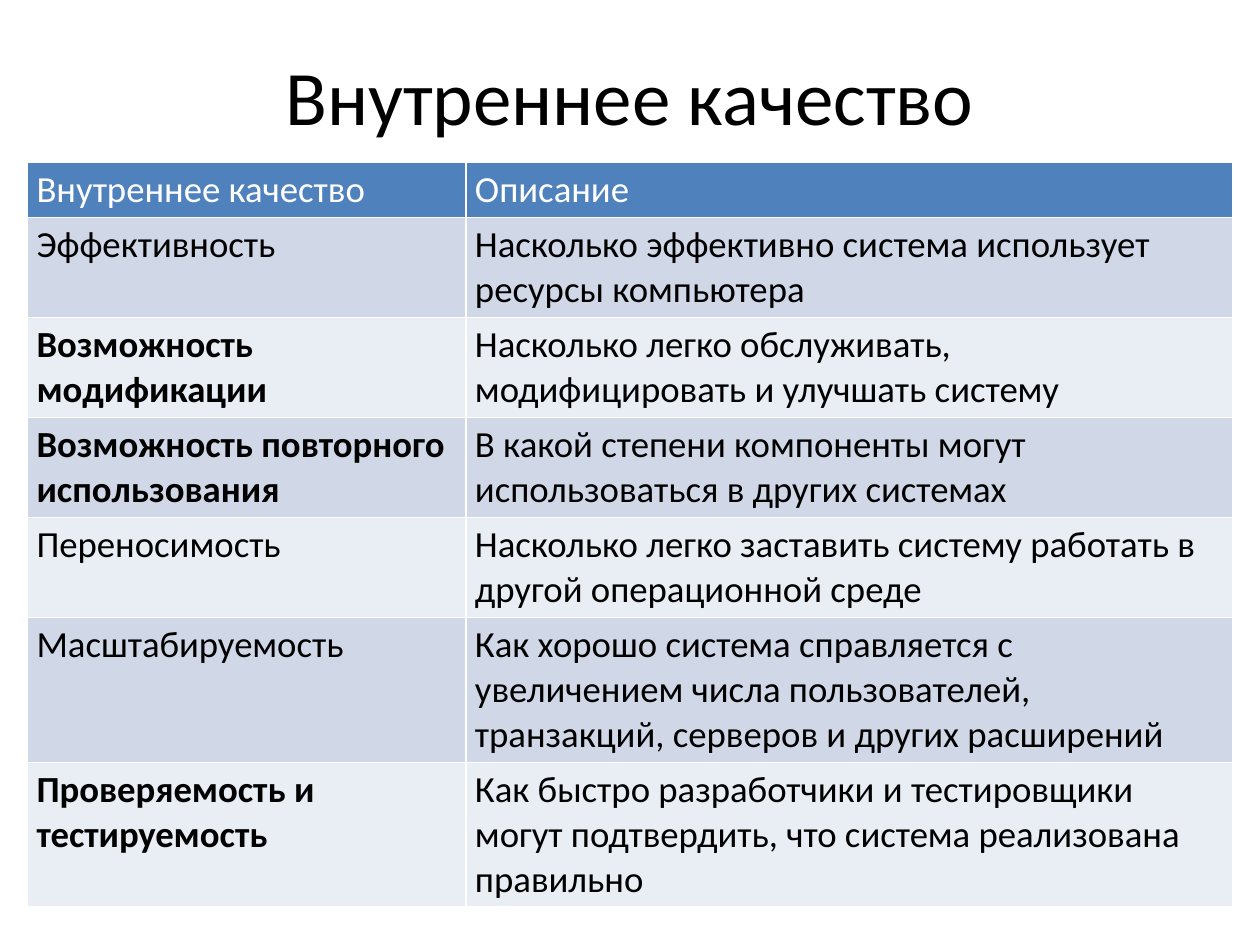
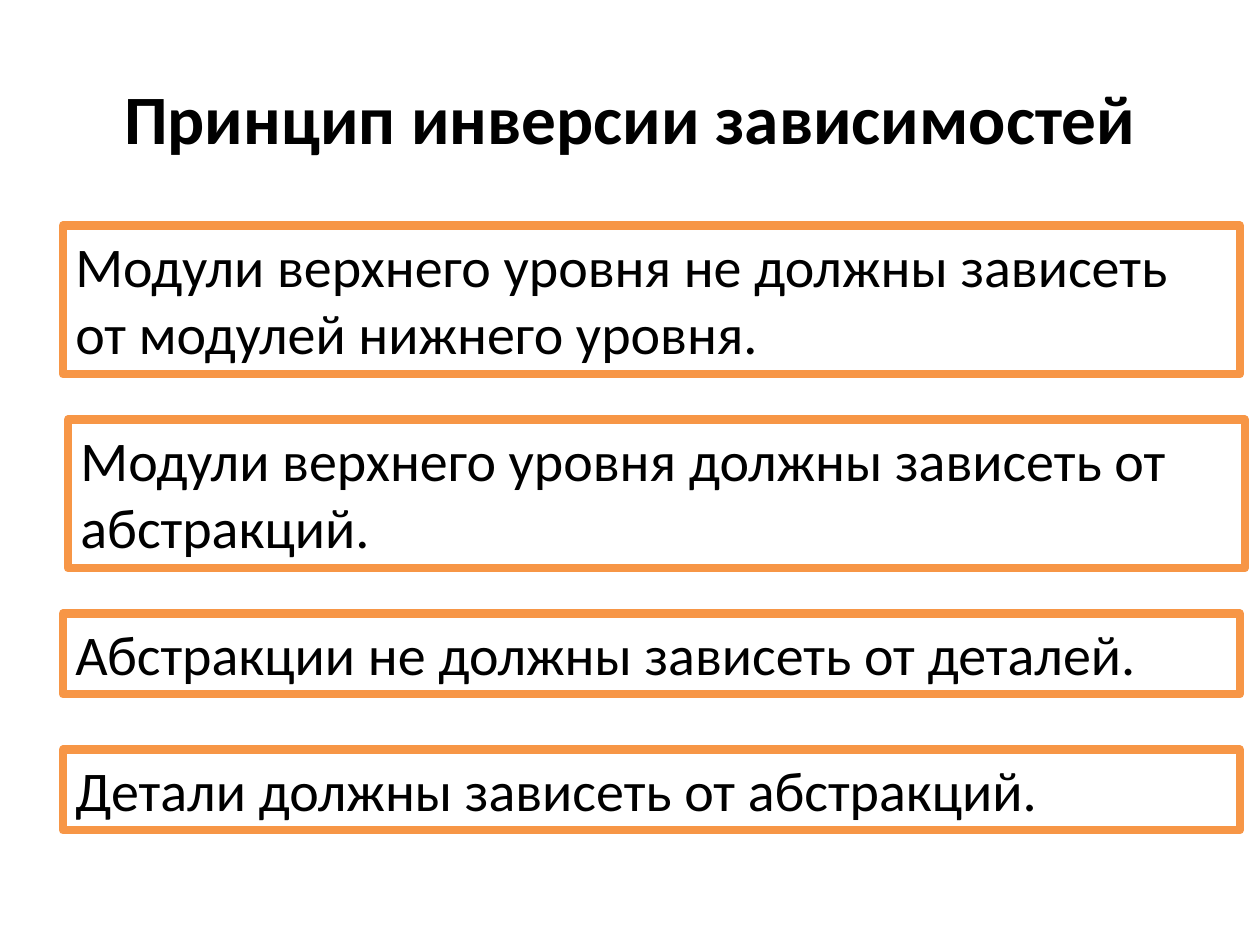
from pptx import Presentation
from pptx.dml.color import RGBColor
from pptx.enum.shapes import MSO_SHAPE
from pptx.enum.text import MSO_ANCHOR, MSO_AUTO_SIZE, PP_ALIGN
from pptx.util import Inches, Pt

RECTANGLE = MSO_SHAPE.RECTANGLE
TOP, MIDDLE = MSO_ANCHOR.TOP, MSO_ANCHOR.MIDDLE
GROW = MSO_AUTO_SIZE.SHAPE_TO_FIT_TEXT
LEFT, CENTER = PP_ALIGN.LEFT, PP_ALIGN.CENTER

FONT = "Calibri"
BLACK = RGBColor(0x00, 0x00, 0x00)
WHITE = RGBColor(0xFF, 0xFF, 0xFF)
HEADER_BLUE = RGBColor(0x4F, 0x81, 0xBD)
BANDS = (RGBColor(0xD0, 0xD8, 0xE8), RGBColor(0xE9, 0xED, 0xF4))
ORANGE = RGBColor(0xF7, 0x96, 0x46)

# Quality, description, emphasised
QUALITIES = [
    ("Эффективность",
     "Насколько эффективно система использует ресурсы компьютера", False),
    ("Возможность модификации",
     "Насколько легко обслуживать, модифицировать и улучшать систему", True),
    ("Возможность повторного использования",
     "В какой степени компоненты могут использоваться в других системах", True),
    ("Переносимость",
     "Насколько легко заставить систему работать в другой операционной среде",
     False),
    ("Масштабируемость",
     "Как хорошо система справляется с увеличением числа пользователей, "
     "транзакций, серверов и других расширений", False),
    ("Проверяемость и тестируемость",
     "Как быстро разработчики и тестировщики могут подтвердить, "
     "что система реализована правильно", True),
]

# Left, top, height in inches, text
PRINCIPLES = [
    (0.5, 1.79, 1.18,
     "Модули верхнего уровня не должны зависеть от модулей нижнего уровня."),
    (0.54, 3.33, 1.18,
     "Модули верхнего уровня должны зависеть от абстракций."),
    (0.5, 4.87, 0.64, "Абстракции не должны зависеть от деталей."),
    (0.5, 5.95, 0.64, "Детали должны зависеть от абстракций."),
]
PRINCIPLE_WIDTH = 9.34


def set_text(tf, text, size, color=BLACK, bold=False, align=LEFT):
    tf.text = text
    p = tf.paragraphs[0]
    p.alignment = align
    font = p.runs[0].font
    font.name, font.size, font.bold = FONT, Pt(size), bold
    font.color.rgb = color


def add_titled_slide(prs, title, box, size, bold=False):
    slide = prs.slides.add_slide(prs.slide_layouts[5])
    sp = slide.shapes.title
    sp.left, sp.top, sp.width, sp.height = map(Inches, box)
    sp.text_frame.vertical_anchor = MIDDLE
    set_text(sp.text_frame, title, size, bold=bold, align=CENTER)
    return slide


def fill_cell(cell, text, fill, color=BLACK, bold=False):
    cell.margin_left = cell.margin_right = Inches(0.07)
    cell.margin_top = cell.margin_bottom = Inches(0.04)
    cell.fill.solid()
    cell.fill.fore_color.rgb = fill
    set_text(cell.text_frame, text, 21, color, bold)


def add_quality_table(slide, box):
    left, top, width, height = map(Inches, box)
    table = slide.shapes.add_table(len(QUALITIES) + 1, 2,
                                   left, top, width, height).table
    table.columns[0].width = Inches(3.48)
    table.columns[1].width = width - Inches(3.48)
    for i, row in enumerate(table.rows):
        row.height = Inches(0.78 if i else 0.42)

    for j, heading in enumerate(("Внутреннее качество", "Описание")):
        fill_cell(table.cell(0, j), heading, HEADER_BLUE, WHITE)
    for i, (quality, description, emphasised) in enumerate(QUALITIES):
        band = BANDS[i % 2]
        fill_cell(table.cell(i + 1, 0), quality, band, bold=emphasised)
        fill_cell(table.cell(i + 1, 1), description, band)


def add_principle(slide, box, text):
    sp = slide.shapes.add_shape(RECTANGLE, *map(Inches, box))
    sp.shadow.inherit = False
    sp.fill.background()
    sp.line.color.rgb = ORANGE
    sp.line.width = Pt(4.75)
    tf = sp.text_frame
    tf.word_wrap = True
    tf.auto_size = GROW
    tf.vertical_anchor = TOP
    set_text(tf, text, 32)


def build_quality_slide(prs):
    slide = add_titled_slide(prs, "Внутреннее качество",
                             (0.69, 0.21, 8.62, 1.09), 44)
    add_quality_table(slide, (0.22, 1.29, 9.56, 5.1))


def build_principle_slide(prs):
    slide = add_titled_slide(prs, "Принцип инверсии зависимостей",
                             (0.5, 0.3, 9, 1.25), 39.6, bold=True)
    for left, top, height, text in PRINCIPLES:
        add_principle(slide, (left, top, PRINCIPLE_WIDTH, height), text)


def main():
    prs = Presentation()
    prs.slide_width, prs.slide_height = Inches(10), Inches(7.5)
    build_quality_slide(prs)
    build_principle_slide(prs)
    prs.save("out.pptx")


if __name__ == "__main__":
    main()
